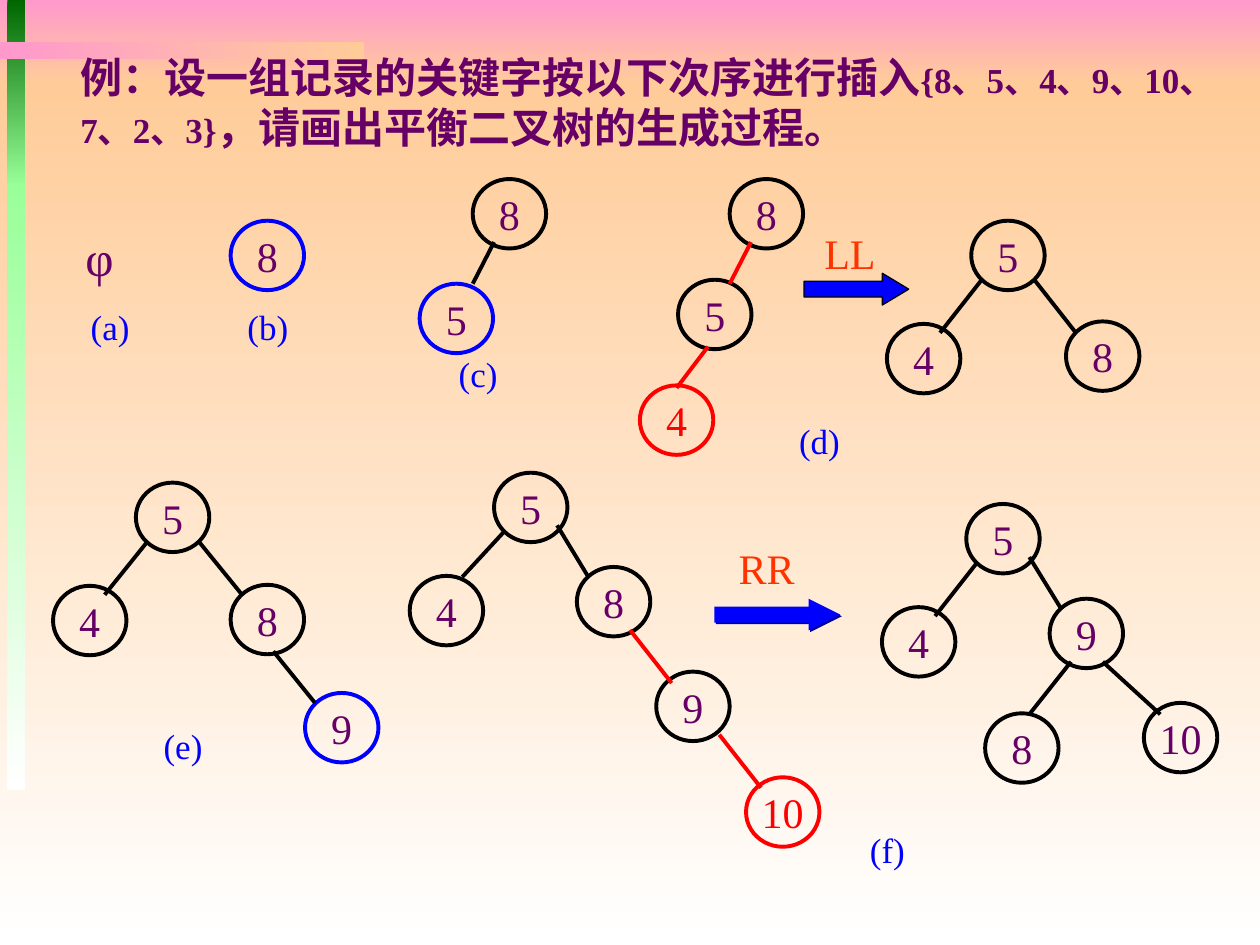
from dataclasses import dataclass

from lxml.etree import SubElement
from pptx import Presentation
from pptx.dml.color import RGBColor
from pptx.enum.shapes import MSO_CONNECTOR, MSO_SHAPE
from pptx.enum.text import MSO_ANCHOR, PP_ALIGN
from pptx.oxml import parse_xml
from pptx.oxml.ns import nsdecls, qn
from pptx.util import Cm, Pt


@dataclass(frozen=True)
class Theme:
    purple: str = "660066"
    blue: str = "0000FF"
    black: str = "000000"
    red: str = "FF0000"
    orange: str = "FF3300"
    navy: str = "000099"
    pink: str = "FF99CC"
    peach: str = "FFCC99"
    dark_green: str = "006600"
    light_green: str = "99FF99"
    white: str = "FFFFFF"
    latin_font: str = "Times New Roman"
    chinese_font: str = "Noto Sans CJK SC"
    symbol_size: int = 28
    node_size: int = 24
    label_size: int = 20
    stroke: float = 2.25


THEME = Theme()
LABEL_BOX = (1.9, 0.84)
ROTATION_BOX = (2.11, 1.27)
NODE_BOX = (1.48, 1.4)

BANDS = [
    (0, 0, 25.4, 1.7, THEME.pink, THEME.peach, 270),
    (0, 1.7, 25.4, 17.35, THEME.peach, THEME.white, 270),
    (0.15, 0, 0.36, 3.76, THEME.dark_green, THEME.light_green, 270),
    (0.15, 3.71, 0.36, 12.22, THEME.light_green, THEME.white, 270),
    (0, 0.84, 7.34, 0.36, THEME.pink, THEME.peach, 0),
]
TITLE = [
    ("例：设一组记录的关键字按以下次序进行插入", THEME.node_size, THEME.chinese_font),
    ("{8、5、4、9、10、7、2、3}", THEME.label_size, THEME.latin_font),
    ("，请画出平衡二叉树的生成过程。", THEME.node_size, THEME.chinese_font),
]
NODES = {
    THEME.black: [
        ("8", 9.53, 3.61),
        ("8", 14.71, 3.61), ("5", 13.67, 5.64),
        ("5", 19.58, 4.45), ("8", 21.49, 6.48), ("4", 17.88, 6.53),
        ("5", 2.74, 9.73), ("8", 4.65, 11.79), ("4", 1.07, 11.81),
        ("5", 9.96, 9.53), ("8", 11.63, 11.43), ("4", 8.26, 11.61), ("9", 13.23, 13.54),
        ("5", 19.48, 10.16), ("9", 21.16, 12.07), ("4", 17.78, 12.24),
        ("8", 19.86, 14.38), ("10", 23.06, 14.17),
    ],
    THEME.blue: [("8", 4.65, 4.45), ("5", 8.46, 5.72), ("9", 6.15, 13.97)],
    THEME.red: [("4", 12.9, 7.77), ("10", 15.04, 15.67)],
}
EDGES = {
    THEME.black: [
        (9.96, 4.88, 9.53, 5.72),
        (20.85, 5.64, 21.69, 6.71), (19.79, 5.64, 18.95, 6.71),
        (4.01, 10.92, 4.88, 11.99), (2.97, 10.92, 2.11, 11.99), (5.51, 13.13, 6.35, 14.17),
        (11.23, 10.59, 11.86, 11.63), (10.16, 10.72, 9.32, 11.63),
        (20.75, 11.23, 21.39, 12.27), (19.69, 11.35, 18.85, 12.42),
        (21.59, 13.34, 20.75, 14.4), (22.23, 13.34, 23.39, 14.4),
    ],
    THEME.red: [
        (15.14, 4.88, 14.71, 5.72), (14.27, 6.99, 13.64, 7.82),
        (12.7, 12.7, 13.54, 13.77), (14.5, 14.81, 15.34, 15.88),
    ],
}
LABELS = [
    ("(a)", 1.27, 6.15), ("(b)", 4.45, 6.15), ("(c)", 8.69, 7.11),
    ("(d)", 15.57, 8.46), ("(e)", 2.74, 14.61), ("(f)", 16.94, 16.71),
]
ROTATIONS = [("LL", 16.08, 4.45), ("RR", 14.4, 10.8)]


class TreeSlide:
    """Draw the elements of a balanced-tree slide in one theme."""

    def __init__(self, slide, theme):
        self.shapes = slide.shapes
        self.theme = theme

    def style_run(self, run, size, color, font=None, bold=False):
        run.font.size = Pt(size)
        run.font.bold = bold
        run.font.color.rgb = RGBColor.from_string(color)
        run.font.name = font or self.theme.latin_font
        east_asian = SubElement(run.font._element, qn("a:ea"))
        east_asian.set("typeface", self.theme.chinese_font)

    def set_margins(self, text_frame, side, top, bottom):
        text_frame.word_wrap = True
        text_frame.margin_left = text_frame.margin_right = Cm(side)
        text_frame.margin_top, text_frame.margin_bottom = Cm(top), Cm(bottom)

    def outline(self, kind, left, top, width, height):
        shape = self.shapes.add_shape(kind, Cm(left), Cm(top), Cm(width), Cm(height))
        shape.shadow.inherit = False
        return shape

    def band(self, left, top, width, height, start, end, angle):
        shape = self.outline(MSO_SHAPE.RECTANGLE, left, top, width, height)
        shape.line.fill.background()
        shape.fill.gradient()
        shape.fill.gradient_angle = angle
        for stop, color in zip(shape.fill.gradient_stops, (start, end)):
            stop.color.rgb = RGBColor.from_string(color)

    def title(self, pieces, left, top, width, height):
        text_frame = self.shapes.add_textbox(Cm(left), Cm(top), Cm(width), Cm(height)).text_frame
        self.set_margins(text_frame, 0.25, 0.23, 0)
        paragraph = text_frame.paragraphs[0]
        paragraph.line_spacing = Pt(28.8)
        for text, size, font in pieces:
            run = paragraph.add_run()
            run.text = text
            self.style_run(run, size, self.theme.purple, font, bold=True)

    def text(self, text, left, top, box, size, color, margin=0.13, align=PP_ALIGN.CENTER):
        text_frame = self.shapes.add_textbox(Cm(left), Cm(top), Cm(box[0]), Cm(box[1])).text_frame
        self.set_margins(text_frame, 0.25, margin, margin)
        text_frame.text = text
        text_frame.paragraphs[0].alignment = align
        self.style_run(text_frame.paragraphs[0].runs[0], size, color)

    def node(self, key, left, top, color):
        shape = self.outline(MSO_SHAPE.OVAL, left, top, *NODE_BOX)
        shape.fill.background()
        shape.line.color.rgb = RGBColor.from_string(color)
        shape.line.width = Pt(self.theme.stroke)
        text_frame = shape.text_frame
        self.set_margins(text_frame, 0, 0, 0)
        text_frame.vertical_anchor = MSO_ANCHOR.MIDDLE
        text_frame.text = key
        text_frame.paragraphs[0].alignment = PP_ALIGN.CENTER
        key_color = color if color == self.theme.red else self.theme.purple
        self.style_run(text_frame.paragraphs[0].runs[0], self.theme.node_size, key_color)

    def edge(self, points, color):
        connector = self.shapes.add_connector(MSO_CONNECTOR.STRAIGHT, *map(Cm, points))
        connector.line.color.rgb = RGBColor.from_string(color)
        connector.line.width = Pt(self.theme.stroke)
        SubElement(connector._element.spPr, qn("a:effectLst"))

    def arrow(self, left, top, width, height, head):
        shape = self.outline(MSO_SHAPE.RIGHT_ARROW, left, top, width, height)
        shape.adjustments[1] = head
        shape.fill.solid()
        shape.fill.fore_color.rgb = RGBColor.from_string(self.theme.blue)
        return shape

    def outlined_arrow(self, *geometry):
        shape = self.arrow(*geometry)
        shape.line.color.rgb = RGBColor.from_string(self.theme.black)
        shape.line.width = Pt(0.75)

    def shadowed_arrow(self, *geometry):
        shape = self.arrow(*geometry)
        shape.line.fill.background()
        effects = shape._element.spPr.find(qn("a:effectLst"))
        effects.append(parse_xml(
            f'<a:outerShdw {nsdecls("a")} dist="{Pt(1.4)}" dir="2700000" algn="ctr" rotWithShape="0">'
            f'<a:srgbClr val="{self.theme.navy}"/></a:outerShdw>'))


def main():
    presentation = Presentation()
    presentation.slide_width, presentation.slide_height = Cm(25.4), Cm(19.05)
    slide = presentation.slides.add_slide(presentation.slide_layouts[6])
    tree = TreeSlide(slide, THEME)
    for band in BANDS:
        tree.band(*band)
    tree.title(TITLE, 1.37, 0.81, 23.55, 2.29)
    tree.text("φ", 1.47, 4.45, (1.27, 1.45), THEME.symbol_size, THEME.purple, align=PP_ALIGN.JUSTIFY)
    for color, nodes in NODES.items():
        for node in nodes:
            tree.node(*node, color)
    for color, edges in EDGES.items():
        for points in edges:
            tree.edge(points, color)
    for text, left, top in LABELS:
        tree.text(text, left, top, LABEL_BOX, THEME.label_size, THEME.blue, margin=0)
    tree.outlined_arrow(16.21, 5.51, 2.11, 0.64, 0.83)
    tree.shadowed_arrow(14.4, 12.07, 2.54, 0.64, 1)
    for text, left, top in ROTATIONS:
        tree.text(text, left, top, ROTATION_BOX, THEME.node_size, THEME.orange)
    presentation.save("out.pptx")


if __name__ == "__main__":
    main()
